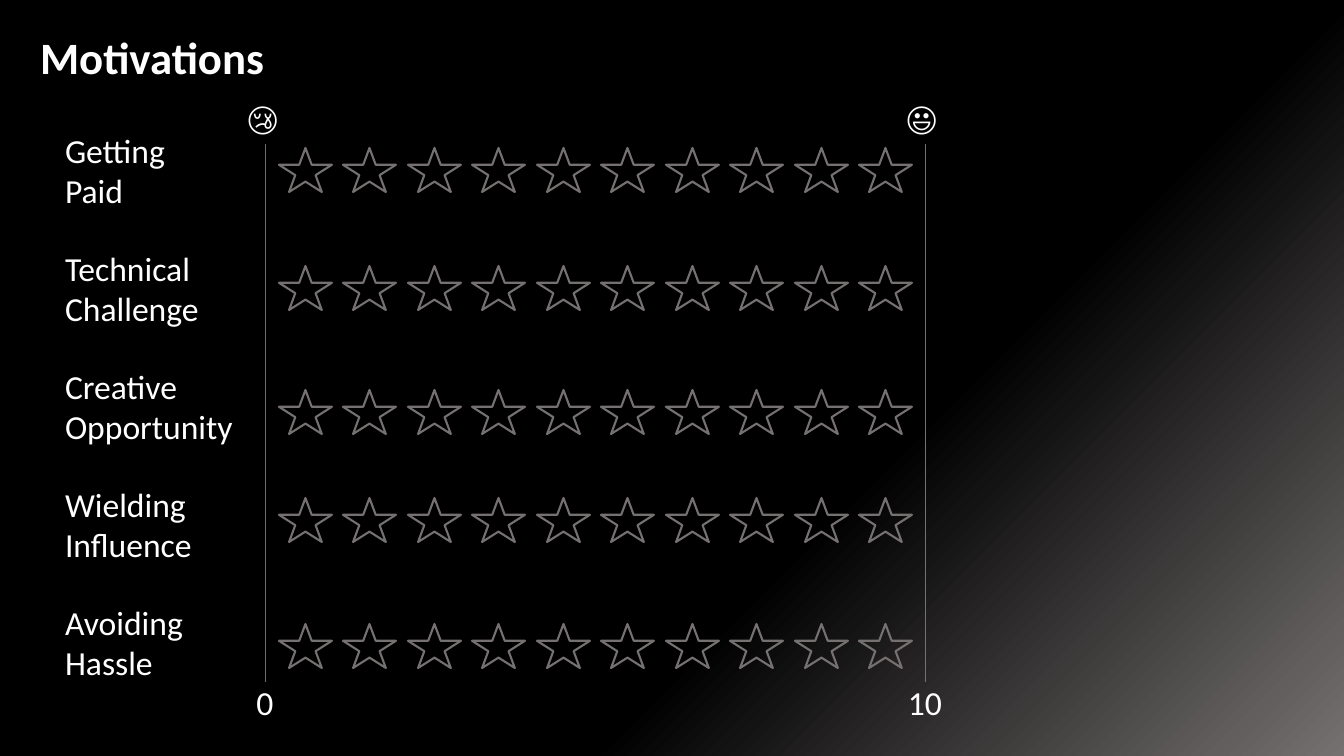
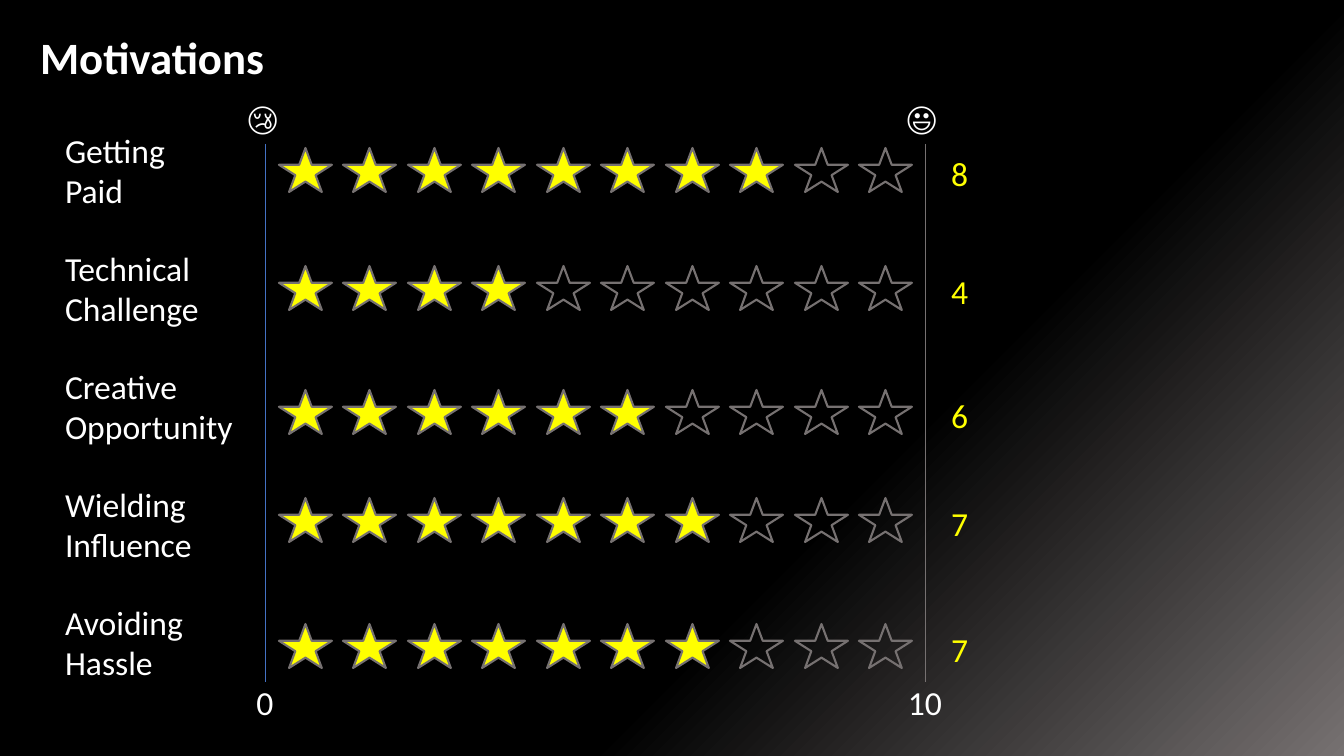
from pptx import Presentation
from pptx.dml.color import RGBColor
from pptx.enum.shapes import MSO_CONNECTOR, MSO_SHAPE
from pptx.enum.text import MSO_ANCHOR, MSO_AUTO_SIZE, PP_ALIGN
from pptx.oxml.ns import qn
from pptx.util import Pt
from lxml.etree import SubElement

# Shared measures and colours
SLIDE_WIDTH, SLIDE_HEIGHT = 1344, 756
EMU_PER_PX = 12192000 / SLIDE_WIDTH
BLACK, WHITE, GREY, YELLOW, BLUE = "000000", "FFFFFF", "767171", "FFFF00", "4472C4"

LABEL_LEFT, LABEL_TOP, LABEL_PITCH = 65, 130, 118
STAR_LEFT, STAR_WIDTH, STAR_HEIGHT = 279, 53, 44
STAR_COUNT, STAR_SPAN = 10, 645
AXIS_TOP, AXIS_BOTTOM = 144, 682
MARK_WIDTH, MARK_HEIGHT = 36, 40
SCORE_LEFT = 951

# Motivation and top of its row of stars
motivations = [
    ("Getting\nPaid", 148),
    ("Technical\nChallenge", 266),
    ("Creative\nOpportunity", 390),
    ("Wielding\nInfluence", 498),
    ("Avoiding\nHassle", 624),
]
# Ends of the scale: centre, number, face, left of face, line colour
scale_ends = [(265, "0", "😢", 242, BLUE), (925, "10", "😃", 901, GREY)]
# One slide each: before and after scoring
slide_scores = [(), (8, 4, 6, 7, 7)]


def px(*lengths):
    return [round(length * EMU_PER_PX) for length in lengths]


def write(shape, text, size=24, color=WHITE, bold=False, align=PP_ALIGN.LEFT,
          insets=(0, 0, 0, 0), auto_size=MSO_AUTO_SIZE.SHAPE_TO_FIT_TEXT):
    frame = shape.text_frame
    frame.word_wrap = True
    frame.auto_size = auto_size
    frame.vertical_anchor = MSO_ANCHOR.TOP
    (frame.margin_left, frame.margin_top,
     frame.margin_right, frame.margin_bottom) = px(*insets)
    paragraph = frame.paragraphs[0]
    paragraph.text = text
    paragraph.alignment = align
    for run in paragraph.runs:
        run.font.name = "Calibri"
        run.font.size = Pt(size)
        run.font.bold = bold
        run.font.color.rgb = RGBColor.from_string(color)


deck = Presentation()
deck.slide_width, deck.slide_height = px(SLIDE_WIDTH, SLIDE_HEIGHT)

# Background and title place, shared through the layout
layout = deck.slide_layouts.get_by_name("Title Only")
backdrop = layout.background.fill
backdrop.gradient()
backdrop.gradient_angle = 315
for stop, position, color in zip(backdrop.gradient_stops, (0.64, 1), (BLACK, GREY)):
    stop.position = position
    stop.color.rgb = RGBColor.from_string(color)
title_place = layout.placeholders[0]
(title_place.left, title_place.top,
 title_place.width, title_place.height) = px(0, 0, SLIDE_WIDTH, 117)

for scores in slide_scores:
    slide = deck.slides.add_slide(layout)
    shapes = slide.shapes
    write(shapes.title, "Motivations", size=32, bold=True,
          insets=(40, 30, 10, 5), auto_size=MSO_AUTO_SIZE.NONE)

    # Motivation labels
    for row, (motivation, _) in enumerate(motivations):
        label = shapes.add_textbox(
            *px(LABEL_LEFT, LABEL_TOP + row * LABEL_PITCH, 216, 82))
        write(label, motivation)

    # Star ratings, filled up to the score
    for row, (_, star_top) in enumerate(motivations):
        score = scores[row] if scores else 0
        for place in range(STAR_COUNT):
            star_left = STAR_LEFT + place * STAR_SPAN // STAR_COUNT
            star = shapes.add_shape(
                MSO_SHAPE.STAR_5_POINT,
                *px(star_left, star_top, STAR_WIDTH, STAR_HEIGHT))
            star.shadow.inherit = False
            star.line.color.rgb = RGBColor.from_string(GREY)
            star.line.width = Pt(1.5)
            if place < score:
                star.fill.solid()
                star.fill.fore_color.rgb = RGBColor.from_string(YELLOW)
            else:
                star.fill.background()

    # Scale ends: number, upright line and face
    for center, number, face, face_left, line_color in scale_ends:
        end_number = shapes.add_textbox(
            *px(center - MARK_WIDTH // 2, AXIS_BOTTOM, MARK_WIDTH, MARK_HEIGHT))
        write(end_number, number, align=PP_ALIGN.CENTER)
        axis = shapes.add_connector(
            MSO_CONNECTOR.STRAIGHT, *px(center, AXIS_TOP, center, AXIS_BOTTOM))
        axis.end_connect(end_number, 0)
        axis.line.color.rgb = RGBColor.from_string(line_color)
        axis.line.width = Pt(0.5)
        SubElement(axis._element.spPr, qn("a:effectLst"))
        mood = shapes.add_textbox(*px(face_left, 97, MARK_WIDTH, MARK_HEIGHT))
        write(mood, face, align=PP_ALIGN.RIGHT)

    # Scores beside the stars
    for score, (_, star_top) in zip(scores, motivations):
        score_mark = shapes.add_textbox(
            *px(SCORE_LEFT, star_top + 5, MARK_WIDTH, MARK_HEIGHT))
        write(score_mark, str(score), color=YELLOW)

deck.save("out.pptx")
